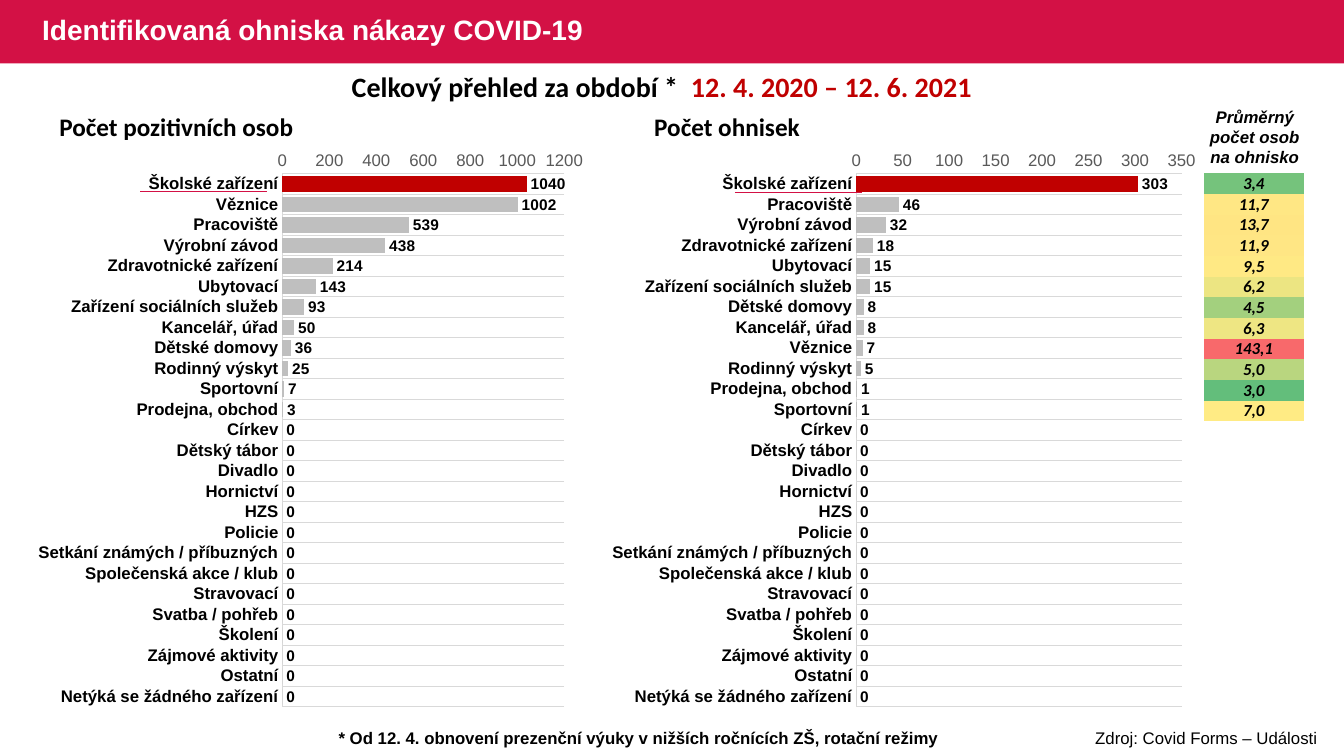
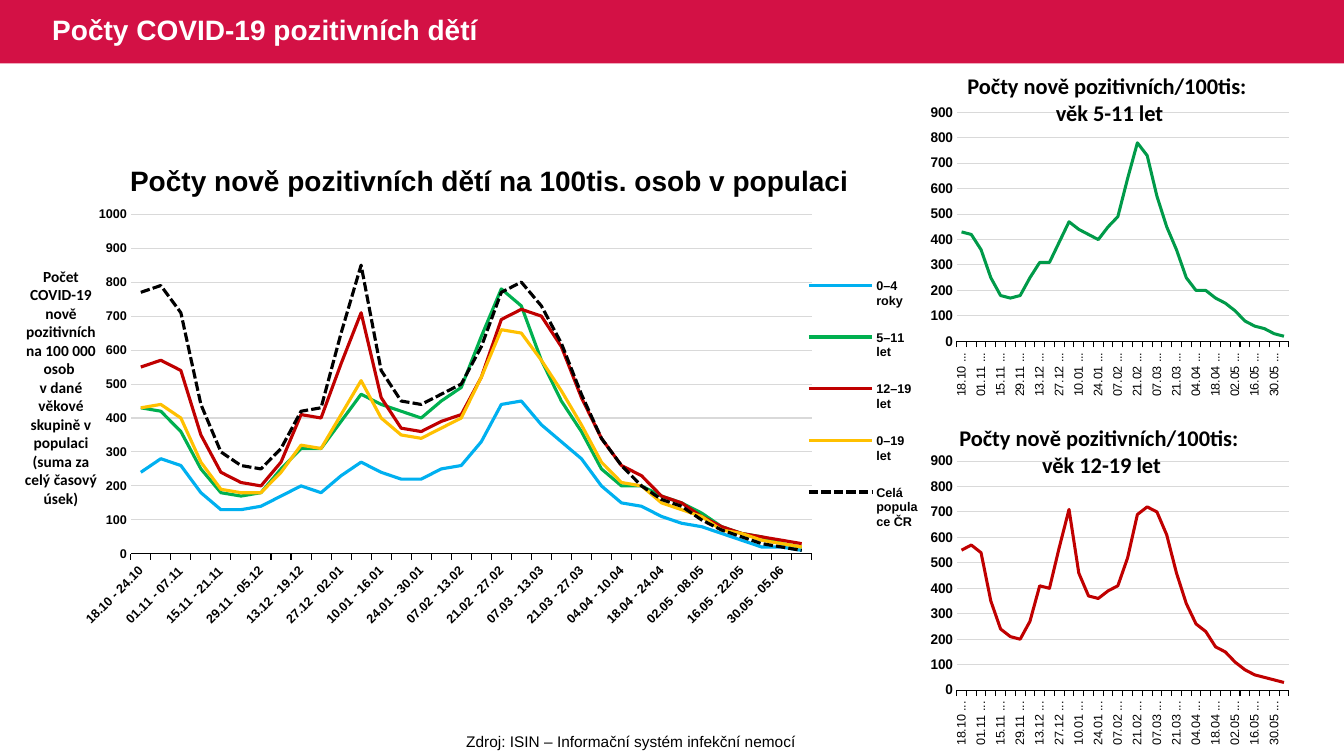
from lxml import etree
from pptx import Presentation
from pptx.chart.data import CategoryChartData
from pptx.dml.color import RGBColor
from pptx.enum.chart import XL_CHART_TYPE, XL_LABEL_POSITION, XL_LEGEND_POSITION, XL_TICK_MARK
from pptx.enum.dml import MSO_LINE
from pptx.enum.shapes import MSO_CONNECTOR, MSO_SHAPE
from pptx.enum.text import MSO_ANCHOR, PP_ALIGN
from pptx.oxml.ns import qn
from pptx.util import Emu, Pt

BAR, LINE = XL_CHART_TYPE.BAR_CLUSTERED, XL_CHART_TYPE.LINE
OUTSIDE_END, RIGHT = XL_LABEL_POSITION.OUTSIDE_END, XL_LEGEND_POSITION.RIGHT
NO_TICK, TICK_OUT = XL_TICK_MARK.NONE, XL_TICK_MARK.OUTSIDE
DASHED = MSO_LINE.SQUARE_DOT
STRAIGHT, RECTANGLE = MSO_CONNECTOR.STRAIGHT, MSO_SHAPE.RECTANGLE
TOP, MIDDLE = MSO_ANCHOR.TOP, MSO_ANCHOR.MIDDLE
LEFT, CENTER = PP_ALIGN.LEFT, PP_ALIGN.CENTER

EMU_PER_PX = 9144
WIDTH, HEIGHT, BAND_HEIGHT = 1333, 750, 63
PLAIN_TABLE = "{2D5ABB26-0587-4C30-8999-92F81FD0307C}"
COLORS = {
    "brand": "D31145", "white": "FFFFFF", "black": "000000", "red": "C00000",
    "bar": "BFBFBF", "grid": "D9D9D9", "axis": "595959", "leaf": "009A49",
    "blue": "00B0F0", "green": "00B050", "amber": "FFC000",
}

EMPTY_PLACES = [
    "Církev", "Dětský tábor", "Divadlo", "Hornictví", "HZS", "Policie",
    "Setkání známých / příbuzných", "Společenská akce / klub", "Stravovací",
    "Svatba / pohřeb", "Školení", "Zájmové aktivity", "Ostatní",
    "Netýká se žádného zařízení",
]
PEOPLE = {
    "Školské zařízení": 1040, "Věznice": 1002, "Pracoviště": 539, "Výrobní závod": 438,
    "Zdravotnické zařízení": 214, "Ubytovací": 143, "Zařízení sociálních služeb": 93,
    "Kancelář, úřad": 50, "Dětské domovy": 36, "Rodinný výskyt": 25, "Sportovní": 7,
    "Prodejna, obchod": 3,
}
OUTBREAKS = {
    "Školské zařízení": 303, "Pracoviště": 46, "Výrobní závod": 32,
    "Zdravotnické zařízení": 18, "Ubytovací": 15, "Zařízení sociálních služeb": 15,
    "Dětské domovy": 8, "Kancelář, úřad": 8, "Věznice": 7, "Rodinný výskyt": 5,
    "Prodejna, obchod": 1, "Sportovní": 1,
}
AVERAGES = [
    ("3,4", "75C37C"), ("11,7", "FFE784"), ("13,7", "FFE583"), ("11,9", "FFE684"),
    ("9,5", "FFE984"), ("6,2", "ECE582"), ("4,5", "A3D07E"), ("6,3", "EEE683"),
    ("143,1", "F8696B"), ("5,0", "B9D67F"), ("3,0", "63BE7B"), ("7,0", "FFEB84"),
]
AGE_0_4 = [240, 280, 260, 180, 130, 130, 140, 170, 200, 180, 230, 270, 240, 220, 220, 250, 260,
           330, 440, 450, 380, 330, 280, 200, 150, 140, 110, 90, 80, 60, 40, 20, 20, 10]
AGE_5_11 = [430, 420, 360, 250, 180, 170, 180, 250, 310, 310, 390, 470, 440, 420, 400, 450, 490,
            640, 780, 730, 570, 450, 360, 250, 200, 200, 170, 150, 120, 80, 60, 50, 30, 20]
AGE_12_19 = [550, 570, 540, 350, 240, 210, 200, 270, 410, 400, 560, 710, 460, 370, 360, 390, 410,
             520, 690, 720, 700, 610, 460, 340, 260, 230, 170, 150, 110, 80, 60, 50, 40, 30]
AGE_0_19 = [430, 440, 400, 270, 190, 180, 180, 240, 320, 310, 410, 510, 400, 350, 340, 370, 400,
            520, 660, 650, 570, 480, 380, 270, 210, 200, 150, 130, 110, 70, 60, 40, 30, 20]
POPULATION = [770, 790, 710, 440, 300, 260, 250, 310, 420, 430, 650, 850, 540, 450, 440, 470, 500,
              610, 770, 800, 730, 620, 470, 340, 260, 200, 160, 140, 100, 70, 50, 30, 20, 10]


def px(length):
    return Emu(length * EMU_PER_PX)


def rgb(color):
    return RGBColor.from_string(COLORS.get(color, color))


def style_font(font, size, color="black", bold=True, italic=False, face="Arial"):
    font.size, font.bold, font.italic, font.name = Pt(size), bold, italic, face
    font.color.rgb = rgb(color)


def style_line(line, color, width):
    line.color.rgb = rgb(color)
    line.width = Pt(width)


def set_layout(parent, index, fractions, inner=False):
    for old in parent.findall(qn("c:layout")):
        parent.remove(old)
    layout = etree.Element(qn("c:layout"))
    manual = etree.SubElement(layout, qn("c:manualLayout"))
    settings = [("layoutTarget", "inner")] if inner else []
    settings += [("xMode", "edge"), ("yMode", "edge"), *zip("xywh", fractions)]
    for tag, value in settings:
        etree.SubElement(manual, qn(f"c:{tag}"), val=str(value))
    parent.insert(index, layout)


def weeks(count):
    month_days = {10: 31, 11: 30, 12: 31, 1: 31, 2: 28, 3: 31, 4: 30, 5: 31, 6: 30}

    def shift(day, month, days):
        day += days
        if day > month_days[month]:
            return day - month_days[month], month % 12 + 1
        return day, month

    labels, start = [], (18, 10)
    for _ in range(count):
        end = shift(*start, 6)
        labels.append(f"{start[0]:02}.{start[1]:02} - {end[0]:02}.{end[1]:02}")
        start = shift(*end, 1)
    return labels


class Report:
    """Holds the shared style and the current slide."""

    def __init__(self):
        self.deck = Presentation()
        self.deck.slide_width, self.deck.slide_height = px(WIDTH), px(HEIGHT)

    def add_page(self, title, left, width):
        self.page = self.deck.slides.add_slide(self.deck.slide_layouts[6])
        band = self.page.shapes.add_shape(RECTANGLE, 0, 0, px(WIDTH), px(BAND_HEIGHT))
        band.shadow.inherit = False
        band.fill.solid()
        band.fill.fore_color.rgb = rgb("brand")
        band.line.fill.background()
        self.text((left, 0, width, BAND_HEIGHT), [[(title, "white")]], 20, anchor=MIDDLE, spacing=0.9)

    def text(self, place, paragraphs, size, face="Arial", bold=True, italic=False,
             align=LEFT, anchor=TOP, spacing=None, inset=True):
        box = self.page.shapes.add_textbox(*map(px, place))
        frame = box.text_frame
        frame.word_wrap, frame.vertical_anchor = True, anchor
        if not inset:
            frame.margin_left = frame.margin_right = frame.margin_top = frame.margin_bottom = 0
        for index, spans in enumerate(paragraphs):
            para = frame.add_paragraph() if index else frame.paragraphs[0]
            para.alignment = align
            if spacing:
                para.line_spacing = spacing
            for words, color in spans:
                for part, piece in enumerate(words.split("\n")):
                    if part:
                        para.add_line_break()
                    span = para.add_run()
                    span.text = piece
                    style_font(span.font, size, color, bold, italic, face)

    def underline(self, left, top, width):
        rule = self.page.shapes.add_connector(STRAIGHT, px(left), px(top), px(left + width), px(top))
        style_line(rule.line, "brand", 1)
        etree.SubElement(rule._element.spPr, qn("a:effectLst"))

    def table(self, place, cells, row_count):
        left, top, width, height = map(px, place)
        shape = self.page.shapes.add_table(row_count, 1, left, top, width, height)
        table = shape.table
        table.first_row = table.horz_banding = False
        table._tbl.tblPr.find(qn("a:tableStyleId")).text = PLAIN_TABLE
        for index, row in enumerate(table.rows):
            row.height = Emu(height // row_count)
            cell = row.cells[0]
            cell.margin_left = cell.margin_right = px(1)
            cell.margin_top = cell.margin_bottom = 0
            cell.vertical_anchor = MIDDLE
            para = cell.text_frame.paragraphs[0]
            if index < len(cells):
                words, color = cells[index]
                cell.fill.solid()
                cell.fill.fore_color.rgb = rgb(color)
                para.alignment = CENTER
                span = para.add_run()
                span.text = words
                style_font(span.font, 12, italic=True, face="Calibri")
            else:
                cell.fill.background()
                etree.SubElement(para._p, qn("a:endParaRPr"), sz="1000")

    def chart(self, kind, place, categories, series, plot_place, size, top_value, step):
        data = CategoryChartData()
        data.categories = categories
        for name, values in series:
            data.add_series(name, values)
        chart = self.page.shapes.add_chart(kind, *map(px, place), data).chart
        chart.has_title = chart.has_legend = False
        style_font(chart.font, size, bold=kind == LINE)
        chart.plots[0].vary_by_categories = False
        set_layout(chart._chartSpace.chart.plotArea, 0, plot_place, inner=True)
        scale = chart.value_axis
        scale.minimum_scale, scale.maximum_scale, scale.major_unit = 0, top_value, step
        scale.major_tick_mark = scale.minor_tick_mark = NO_TICK
        scale.format.line.fill.background()
        crosses = scale._element.find(qn("c:crosses"))
        if scale._element.find(qn("c:crossBetween")) is None:
            crosses.addnext(etree.Element(qn("c:crossBetween"), val="between"))
        chart.category_axis.minor_tick_mark = NO_TICK
        return chart

    def bar_chart(self, place, counts, plot_place, top_value, step):
        categories = [*counts, *EMPTY_PLACES]
        values = [*counts.values(), *[0] * len(EMPTY_PLACES)]
        chart = self.chart(BAR, place, categories, [("Series 1", values)], plot_place, 10, top_value, step)
        plot = chart.plots[0]
        plot.gap_width, plot.overlap = 30, 100
        bars = plot.series[0]
        bars.invert_if_negative = False
        for target, color in ((bars, "bar"), (bars.points[0], "red")):
            target.format.fill.solid()
            target.format.fill.fore_color.rgb = rgb(color)
        labels = bars.data_labels
        labels.show_value, labels.position = True, OUTSIDE_END
        style_font(labels.font, 11)
        axis = chart.category_axis
        axis.reverse_order = axis.has_major_gridlines = True
        axis.major_tick_mark = NO_TICK
        style_line(axis.format.line, "grid", 0.75)
        style_line(axis.major_gridlines.format.line, "grid", 0.75)
        style_font(axis.tick_labels.font, 12)
        chart.value_axis.has_major_gridlines = False
        style_font(chart.value_axis.tick_labels.font, 12, "axis", bold=False)

    def line_chart(self, place, curves, plot_place, top_value, size, scale_size,
                   angle, bold_weeks=False, legend_place=None):
        series = [(name, values) for name, values, _ in curves]
        chart = self.chart(LINE, place, weeks(len(curves[0][1])), series, plot_place, size, top_value, 100)
        for curve, (_, _, color) in zip(chart.plots[0].series, curves):
            curve.smooth = False
            style_line(curve.format.line, color, 2.25)
            if color == "black":
                curve.format.line.dash_style = DASHED
        scale, axis = chart.value_axis, chart.category_axis
        scale.has_major_gridlines = True
        style_line(scale.major_gridlines.format.line, "grid", 0.75)
        style_font(scale.tick_labels.font, scale_size)
        axis.major_tick_mark = TICK_OUT
        style_line(axis.format.line, "black", 0.75)
        style_font(axis.tick_labels.font, 9, bold=bold_weeks)
        body = axis._element.find(qn("c:txPr")).find(qn("a:bodyPr"))
        body.set("rot", str(angle * 60000))
        body.set("vert", "horz")
        if legend_place:
            chart.has_legend = True
            legend = chart.legend
            legend.position, legend.include_in_layout = RIGHT, False
            style_font(legend.font, 9)
            set_layout(legend._element, 1, legend_place)


def add_outbreaks(report):
    report.add_page("Identifikovaná ohniska nákazy COVID-19", 32, 852)
    panels = [
        (0, 49, "Počet pozitivních osob", PEOPLE, (0.474, 0.063, 0.473, 0.917), 1200, 200, (139, 190)),
        (604, 639, "Počet ohnisek", OUTBREAKS, (0.415, 0.063, 0.546, 0.917), 350, 50, (729, 191)),
    ]
    for left, heading_left, heading, counts, plot_place, top_value, step, rule in panels:
        report.bar_chart((left, 136, 591, 577), counts, plot_place, top_value, step)
        report.text((heading_left, 106, 388, 40), [[(heading, "black")]], 18, "Calibri")
        report.underline(*rule, 126)
    period = [("Celkový přehled za období *  ", "black"), ("12. 4. 2020 – 12. 6. 2021", "red")]
    report.text((316, 64, 681, 44), [period], 20, "Calibri", align=CENTER)
    report.text((1187, 101, 115, 71), [[("Průměrný počet osob na ohnisko", "black")]], 12,
                italic=True, align=CENTER)
    report.text((1063, 717, 267, 30), [[("Zdroj: Covid Forms – Události", "black")]], 12,
                bold=False, align=CENTER)
    note = "* Od 12. 4. obnovení prezenční výuky v nižších ročnících ZŠ, rotační režimy"
    report.text((326, 717, 627, 30), [[(note, "black")]], 12)
    report.table((1194, 172, 99, 534), AVERAGES, len(AVERAGES) + len(EMPTY_PLACES))


def add_children(report):
    report.add_page("Počty COVID-19 pozitivních dětí", 42, 837)
    report.text((239, 721, 774, 29), [[("Zdroj: ISIN – Informační systém infekční nemocí", "black")]],
                11, bold=False, align=CENTER)
    panels = [
        (99, (943, 72, 315, 54), "věk 5-11 let", AGE_5_11, "leaf"),
        (445, (923, 421, 339, 54), "věk 12-19 let", AGE_12_19, "red"),
    ]
    for top, heading_place, ages, values, color in panels:
        report.line_chart((923, top, 387, 296), [("Series 1", values, color)],
                          (0.04, 0.042, 0.876, 0.768), 900, 12, 10, -90)
        heading = [[("Počty nově pozitivních/100tis: ", "black")], [(ages, "black")]]
        report.text(heading_place, heading, 16, "Calibri", align=CENTER, inset=False)
    report.text((67, 149, 837, 63),
                [[("Počty nově pozitivních dětí na 100tis. osob v populaci", "black")]],
                20, align=CENTER, anchor=MIDDLE, spacing=0.9)
    curves = [
        ("0–4 roky", AGE_0_4, "blue"), ("5–11 let", AGE_5_11, "green"),
        ("12–19 let", AGE_12_19, "red"), ("0–19 let", AGE_0_19, "amber"),
        ("Celá populace ČR", POPULATION, "black"),
    ]
    report.line_chart((82, 197, 837, 444), curves, (0.057, 0.035, 0.807, 0.759), 1000, 9, 9, -45,
                      bold_weeks=True, legend_place=(0.86, 0.13, 0.13, 0.66))
    unit = ("Počet COVID-19 nově pozitivních na 100 000 osob \n"
            "v dané věkové skupině v populaci (suma za celý časový úsek)")
    report.text((14, 260, 93, 251), [[(unit, "black")]], 11, "Calibri", align=CENTER)


def main():
    report = Report()
    add_outbreaks(report)
    add_children(report)
    report.deck.save("out.pptx")


if __name__ == "__main__":
    main()
